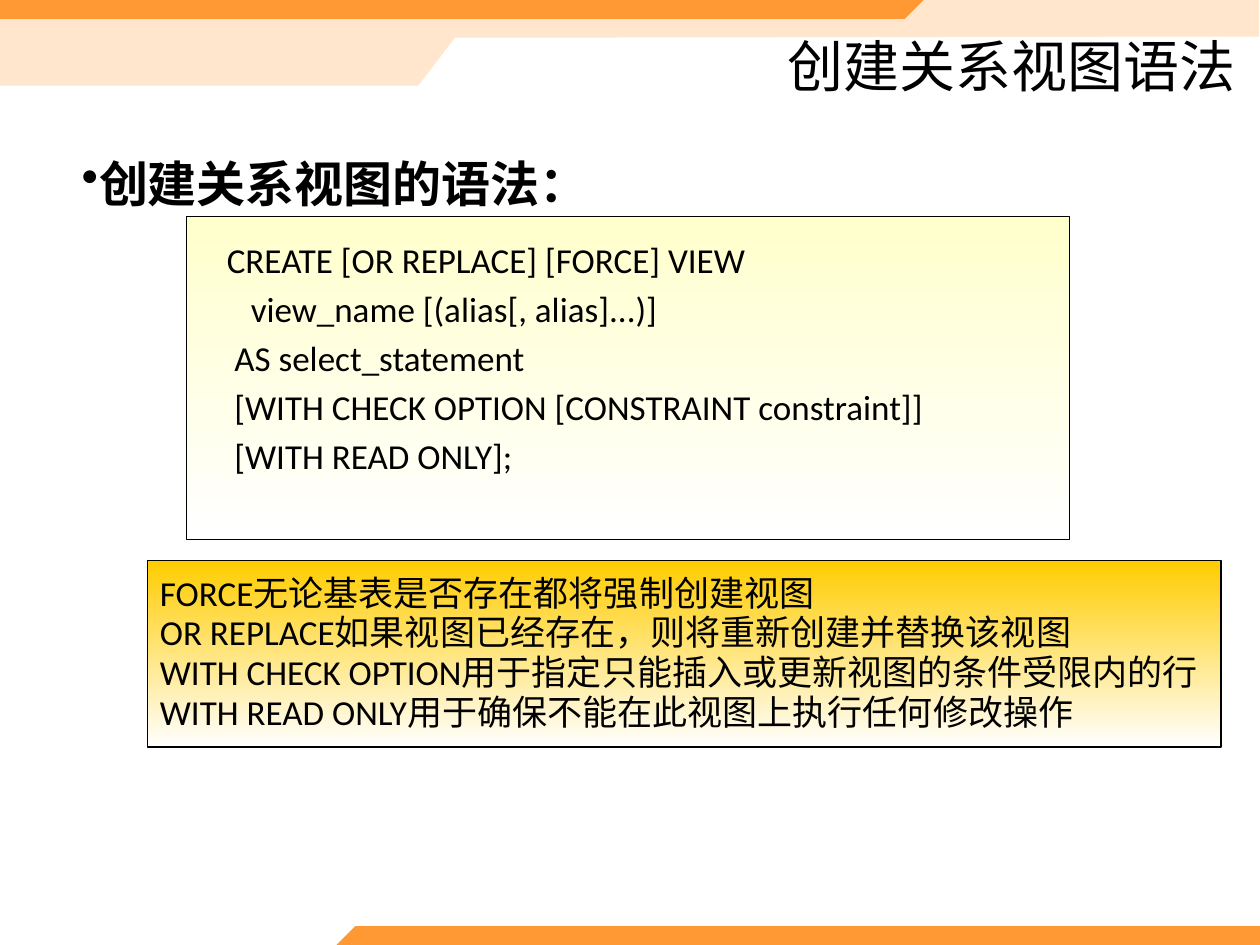
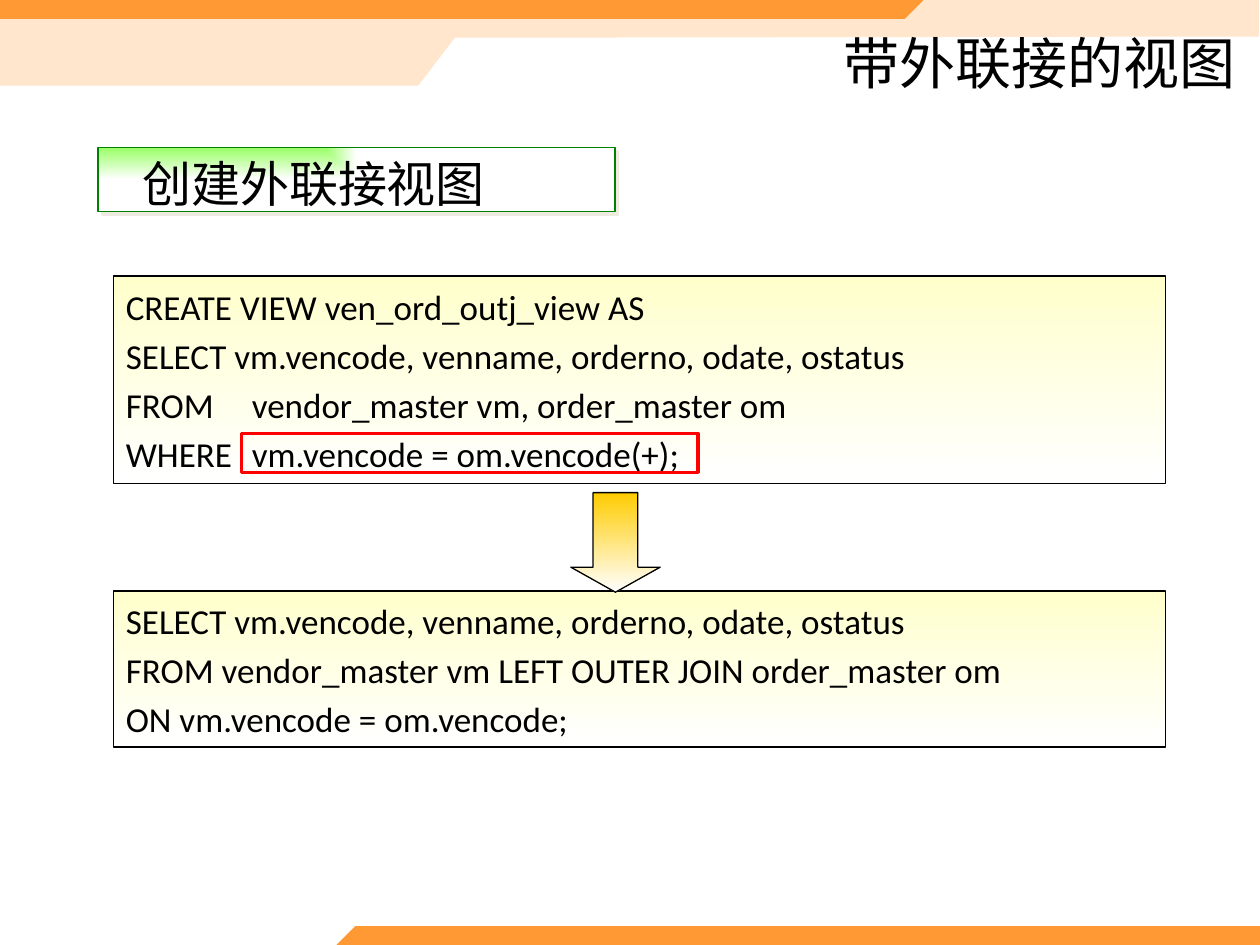
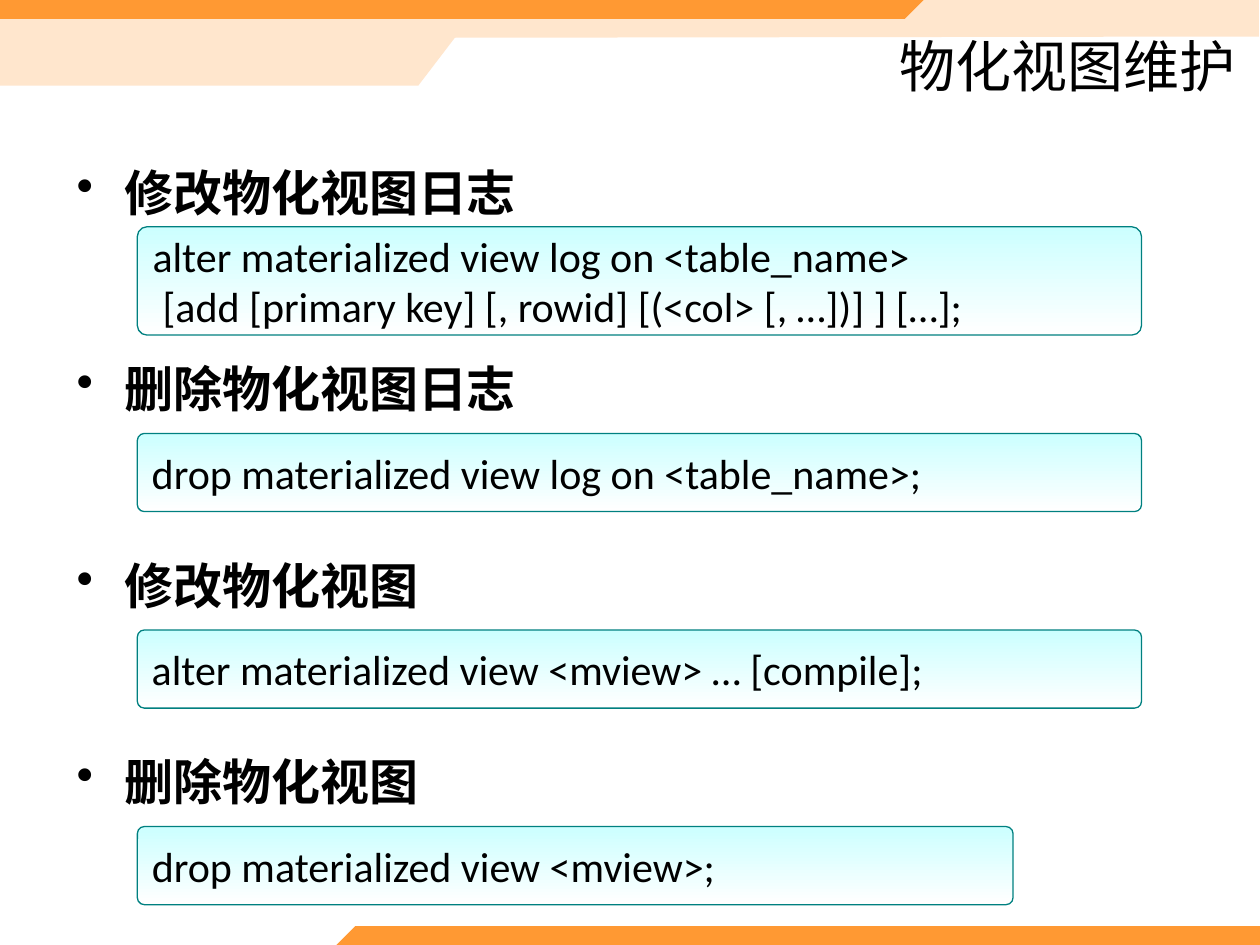
import dataclasses
import itertools

import lxml.etree
import pptx
import pptx.dml.color
import pptx.enum.shapes
import pptx.enum.text
import pptx.oxml.ns
import pptx.util

qn = pptx.oxml.ns.qn
Pt = pptx.util.Pt
SHAPE = pptx.enum.shapes.MSO_SHAPE
ANCHOR = pptx.enum.text.MSO_ANCHOR
ALIGN = pptx.enum.text.PP_ALIGN


@dataclasses.dataclass(frozen=True)
class Theme:
    font: str = "Calibri"
    label_font: str = "Courier New"
    ink: str = "000000"
    paper: str = "FFFFFF"
    orange: str = "FF9933"
    peach: str = "FFE6CD"
    cream: str = "FFFFCC"
    gold: str = "FFCC00"
    lime: str = "99FF66"
    green: str = "008000"
    aqua: str = "CCFFFF"
    teal: str = "008080"
    red: str = "FF0000"
    label_shadow: str = "EEECE1"
    title_size: int = 32
    heading_size: int = 28
    command_size: int = 24
    code_size: int = 20
    code_gap: int = 4


theme = Theme()
rgb = pptx.dml.color.RGBColor.from_string

# The grid has 100 columns and 75 rows of square cells.
deck = pptx.Presentation()
deck.slide_width = pptx.util.Inches(10)
deck.slide_height = pptx.util.Inches(7.5)
CELL = deck.slide_width // 100


def write(shape, text, *, size, font=theme.font, bold=False, align=ALIGN.LEFT,
          anchor=ANCHOR.MIDDLE, insets=(1, 0.5, 0.5, 0.5), gap=0, leading=1.0,
          bullet=False, hang=0, indents=(), tabs=()):
    """Fill a shape with one paragraph per line; lengths are in grid cells."""
    frame = shape.text_frame
    frame.word_wrap = True
    frame.vertical_anchor = anchor
    (frame.margin_left, frame.margin_top,
     frame.margin_right, frame.margin_bottom) = [round(CELL * inset) for inset in insets]
    frame.text = text
    for paragraph, indent, tab in itertools.zip_longest(
            frame.paragraphs, indents, tabs, fillvalue=0):
        paragraph.alignment = align
        paragraph.space_before = Pt(gap)
        paragraph.line_spacing = leading
        paragraph.font.size = Pt(size)
        for run in paragraph.runs:
            run.font.name = font
            run.font.size = Pt(size)
            run.font.bold = bold
            run.font.color.rgb = rgb(theme.ink)
        properties = paragraph._p.get_or_add_pPr()
        properties.set("marL", str(round(CELL * (indent + hang))))
        properties.set("indent", str(round(-CELL * hang)))
        if bullet:
            lxml.etree.SubElement(properties, qn("a:buChar"), char="•")
        if tab:
            stops = lxml.etree.SubElement(properties, qn("a:tabLst"))
            lxml.etree.SubElement(stops, qn("a:tab"), pos=str(round(CELL * tab)), algn="l")


def add_box(slide, area, *, kind=SHAPE.RECTANGLE, tint=None, line=None, weight=0.75):
    """Add a shape that fades from tint to paper, or an unfilled one."""
    shape = slide.shapes.add_shape(kind, *[round(CELL * length) for length in area])
    shape.shadow.inherit = False
    if tint:
        shape.fill.gradient()
        shape.fill.gradient_angle = 270
        for stop, colour in zip(shape.fill.gradient_stops, (tint, theme.paper)):
            stop.color.rgb = rgb(colour)
    else:
        shape.fill.background()
    if line:
        shape.line.color.rgb = rgb(line)
        shape.line.width = Pt(weight)
    else:
        shape.line.fill.background()
    return shape


# Shared bands and titles
bands = [
    (theme.peach, [(99.9, 0), (0, 0), (0, 6.8), (33.2, 6.8), (36.1, 3), (99.9, 2.9)]),
    (theme.orange, [(73.3, 0), (71.8, 1.5), (0, 1.5), (0, 0)]),
    (theme.orange, [(26.7, 75), (28.2, 73.5), (100, 73.5), (100, 75)]),
]
titles = [("创建关系视图语法", 4.7), ("带外联接的视图", 4.2), ("物化视图维护", 4.7)]
slides = []
for title, title_height in titles:
    slide = deck.slides.add_slide(deck.slide_layouts[6])
    for colour, corners in bands:
        start, *rest = [(CELL * x, CELL * y) for x, y in corners]
        outline = slide.shapes.build_freeform(*start)
        outline.add_line_segments(rest, close=True)
        band = outline.convert_to_shape()
        band.shadow.inherit = False
        band.fill.solid()
        band.fill.fore_color.rgb = rgb(colour)
        band.line.fill.background()
    write(add_box(slide, (40.6, 2.8, 58.5, title_height)), title,
          size=theme.title_size, align=ALIGN.RIGHT, insets=(1, 0.5, 1, 0.5))
    slides.append(slide)
syntax, outer_join, maintenance = slides

# Syntax of a relational view
write(add_box(syntax, (5.5, 11.5, 90, 6)), "创建关系视图的语法：",
      size=theme.heading_size, bold=True, bullet=True)
statement = add_box(syntax, (14.8, 17.2, 70.1, 25.6), tint=theme.cream, line=theme.ink)
write(statement,
      "CREATE [OR REPLACE] [FORCE] VIEW\n"
      "view_name [(alias[, alias]...)]\n"
      "AS select_statement\n"
      "[WITH CHECK OPTION [CONSTRAINT constraint]]\n"
      "[WITH READ ONLY];",
      size=theme.code_size, gap=theme.code_gap, anchor=ANCHOR.TOP,
      insets=(3.2, 1.7, 1, 0.5), indents=(0, 1.9, 0.6, 0.6, 0.6))
options = add_box(syntax, (11.7, 44.5, 85.2, 14.8), tint=theme.gold, line=theme.ink)
write(options,
      "FORCE无论基表是否存在都将强制创建视图\n"
      "OR REPLACE如果视图已经存在，则将重新创建并替换该视图\n"
      "WITH CHECK OPTION用于指定只能插入或更新视图的条件受限内的行\n"
      "WITH READ ONLY用于确保不能在此视图上执行任何修改操作",
      size=theme.code_size, leading=0.95)

# View with an outer join
label = add_box(outer_join, (7.8, 11.7, 41, 5.1), tint=theme.lime, line=theme.green, weight=1)
write(label, "创建外联接视图", size=theme.heading_size, font=theme.label_font,
      anchor=ANCHOR.TOP, insets=(3.5, 0.5, 1, 0.5))
label_properties = label.element.spPr
fade = label_properties.find(qn("a:gradFill"))
fade.remove(fade.find(qn("a:lin")))
corner_fade = lxml.etree.SubElement(fade, qn("a:path"), {"path": "rect"})
lxml.etree.SubElement(corner_fade, qn("a:fillToRect"), r="100000", b="100000")
cast = lxml.etree.SubElement(label_properties.find(qn("a:effectLst")), qn("a:outerShdw"),
                             dist=str(Pt(2.8)), dir="2700000", algn="ctr", rotWithShape="0")
lxml.etree.SubElement(cast, qn("a:srgbClr"), val=theme.label_shadow)

queries = [
    (21.9, 16.5, (0, 0, 8.9, 9.7),
     "CREATE VIEW ven_ord_outj_view AS\n"
     "SELECT vm.vencode, venname, orderno, odate, ostatus\n"
     "FROM\tvendor_master vm, order_master om\n"
     "WHERE\tvm.vencode = om.vencode(+);"),
    (46.9, 12.4, (),
     "SELECT vm.vencode, venname, orderno, odate, ostatus\n"
     "FROM vendor_master vm LEFT OUTER JOIN order_master om\n"
     "ON vm.vencode = om.vencode;"),
]
for top, height, tabs, query in queries:
    write(add_box(outer_join, (9, top, 83.5, height), tint=theme.cream, line=theme.ink),
          query, size=theme.code_size, gap=theme.code_gap, tabs=tabs)
add_box(outer_join, (19.2, 34.4, 36.2, 3.1), line=theme.red, weight=1.75)
arrow = add_box(outer_join, (45.3, 39.1, 7.1, 7.9), kind=SHAPE.DOWN_ARROW,
                tint=theme.gold, line=theme.ink)
arrow.adjustments[1] = 0.28

# Maintenance of materialized views
STEP = 15.6
commands = [
    ("修改物化视图日志", 18, 79.7, 8.6,
     "alter materialized view log on <table_name>\n"
     "[add [primary key] [, rowid] [(<col> [, …])] ] […];"),
    ("删除物化视图日志", 34.4, 79.7, 6.2, "drop materialized view log on <table_name>;"),
    ("修改物化视图", 50, 79.7, 6.2, "alter materialized view <mview> … [compile];"),
    ("删除物化视图", 65.6, 69.5, 6.2, "drop materialized view <mview>;"),
]
for row, (heading, top, width, height, command) in enumerate(commands):
    write(add_box(maintenance, (5.1, 12.2 + row * STEP, 90, 6)), heading,
          size=theme.heading_size, bold=True, bullet=True, hang=3.8)
    panel = add_box(maintenance, (10.9, top, width, height), kind=SHAPE.ROUNDED_RECTANGLE,
                    tint=theme.aqua, line=theme.teal)
    panel.adjustments[0] = 0.09
    write(panel, command, size=theme.command_size, indents=(0, 0.8)[:command.count("\n") + 1])

deck.save("out.pptx")
